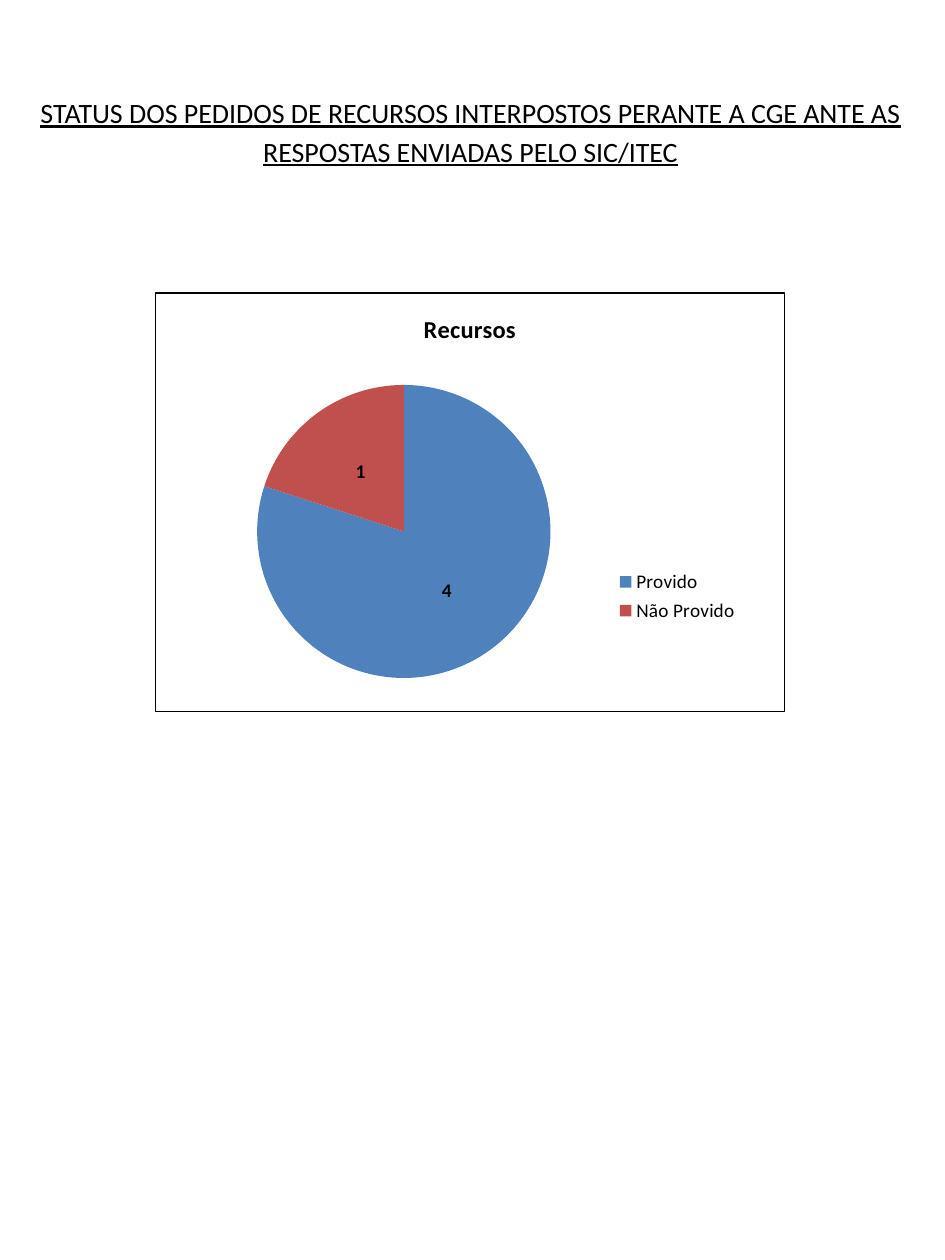
from pptx import Presentation
from pptx.chart.data import CategoryChartData
from pptx.dml.color import RGBColor
from pptx.enum.chart import XL_CHART_TYPE, XL_LABEL_POSITION, XL_LEGEND_POSITION
from pptx.enum.text import PP_ALIGN
from pptx.oxml import parse_xml
from pptx.oxml.ns import nsdecls, qn
from pptx.util import Pt


def style(font, size, bold=False, color="000000"):
    font.name = "Calibri"
    font.size = Pt(size)
    font.bold = bold
    font.color.rgb = RGBColor.from_string(color)


def place(node, index, x, y, w, h):
    for old in node.findall(qn("c:layout")):
        node.remove(old)
    inner = '<c:layoutTarget val="inner"/>' if index == 0 else ""
    node.insert(index, parse_xml(
        f'<c:layout {nsdecls("c")}><c:manualLayout>{inner}'
        '<c:xMode val="edge"/><c:yMode val="edge"/>'
        f'<c:x val="{x}"/><c:y val="{y}"/><c:w val="{w}"/><c:h val="{h}"/>'
        '</c:manualLayout></c:layout>'))


deck = Presentation()
deck.slide_width, deck.slide_height = Pt(540), Pt(720)
slide = deck.slides.add_slide(deck.slide_layouts[6])

box = slide.shapes.add_textbox(Pt(9.4), Pt(48.2), Pt(519), Pt(52))
frame = box.text_frame
frame.word_wrap = True
frame.text = "STATUS DOS PEDIDOS DE RECURSOS INTERPOSTOS PERANTE A CGE ANTE AS RESPOSTAS ENVIADAS PELO SIC/ITEC"
head = frame.paragraphs[0]
head.alignment = PP_ALIGN.CENTER
head.line_spacing = 1.15
head.space_after = Pt(10)
style(head.runs[0].font, 16)
head.runs[0].font.underline = True

data = CategoryChartData()
data.categories = ["Provido", "Não Provido"]
data.add_series("Recursos", [4, 1])
chart = slide.shapes.add_chart(
    XL_CHART_TYPE.PIE, Pt(88.5), Pt(167), Pt(360), Pt(240), data).chart
style(chart.font, 18)

chart.has_title = True
title = chart.chart_title.text_frame
title.text = "Recursos"
style(title.paragraphs[0].runs[0].font, 14, True)

chart.has_legend = True
legend = chart.legend
legend.position = XL_LEGEND_POSITION.RIGHT
legend.include_in_layout = False
style(legend.font, 11)

plot = chart.plots[0]
plot.vary_by_categories = True
for index, color in enumerate(["4F81BD", "C0504D"]):
    fill = plot.series[0].points[index].format.fill
    fill.solid()
    fill.fore_color.rgb = RGBColor.from_string(color)

plot.has_data_labels = True
labels = plot.data_labels
labels.show_value = True
labels.show_percentage = False
labels.position = XL_LABEL_POSITION.CENTER
style(labels.font, 11, True)

body = chart.element.find(qn("c:chart"))
place(body.find(qn("c:plotArea")), 0, 0.16, 0.22, 0.47, 0.7)
place(body.find(qn("c:legend")), 1, 0.72, 0.65, 0.22, 0.15)
body.addnext(parse_xml(
    f'<c:spPr {nsdecls("c", "a")}><a:noFill/><a:ln w="{Pt(0.75)}"><a:solidFill>'
    '<a:srgbClr val="000000"/></a:solidFill></a:ln></c:spPr>'))

deck.save("out.pptx")
